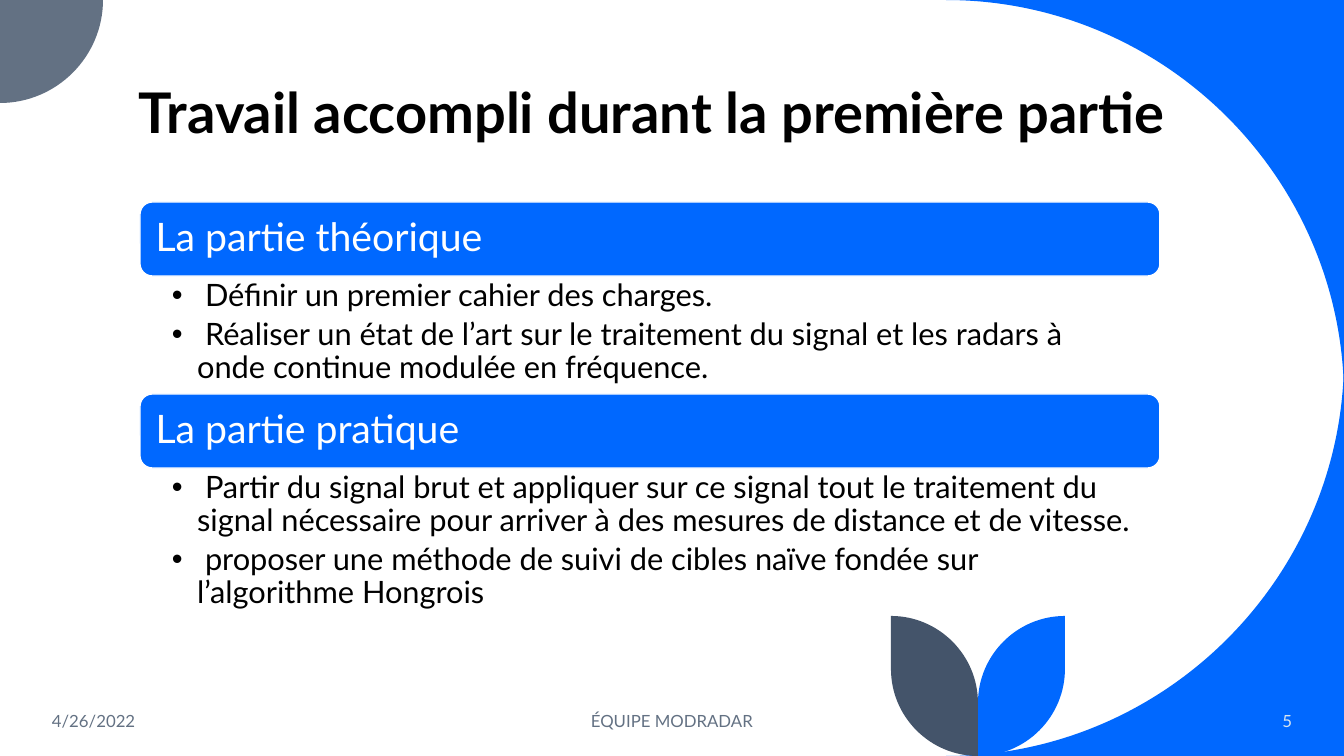
from pptx import Presentation, util as u
from pptx.dml.color import RGBColor
from pptx.enum import shapes, text
from pptx.oxml.ns import qn
from lxml import etree

PX = 914400 / 100.8
W, H = 1344, 756
KAPPA = 0.55
FONT = "Lato"
BLUE = RGBColor(0x00, 0x68, 0xFF)
GREY = RGBColor(0x63, 0x71, 0x83)
SLATE = RGBColor(0x44, 0x54, 0x6A)
PALE = RGBColor(0xDA, 0xE5, 0xEF)
WHITE = RGBColor(0xFF, 0xFF, 0xFF)
BLACK = RGBColor(0, 0, 0)
LEFT, CENTER, RIGHT = text.PP_ALIGN.LEFT, text.PP_ALIGN.CENTER, text.PP_ALIGN.RIGHT

TITLE = "Travail accompli durant la première partie"
PARTS = [
    ("La partie théorique", 118, [
        " Définir un premier cahier des charges.",
        " Réaliser un état de l’art sur le traitement du signal et les radars à onde continue modulée en fréquence.",
    ]),
    ("La partie pratique", 150, [
        " Partir du signal brut et appliquer sur ce signal tout le traitement du signal nécessaire pour arriver à des mesures de distance et de vitesse.",
        " proposer une méthode de suivi de cibles naïve fondée sur l’algorithme Hongrois",
    ]),
]
FOOTER = [
    ("4/26/2022", 42, 302, LEFT, GREY),
    ("ÉQUIPE MODRADAR", 445, 454, CENTER, GREY),
    ("5", 1119, 183, RIGHT, PALE),
]
PART_X, PART_Y, PART_W, HEAD_H = 140, 202, 1020, 74
SWEEP_R, CORNER_R = 398, 103
STEM_X, LEAF_TOP, LEAF_R = 978, 616, 87


def px(n):
    return u.Emu(round(n * PX))


def toward(a, b):
    return tuple(m + KAPPA * (n - m) for m, n in zip(a, b))


def add_outline(s, color, start, *steps):
    points, last = [], start
    for corner, end in steps:
        if corner:
            points += [toward(last, corner), toward(end, corner)]
        points.append(end)
        last = end
    fb = s.shapes.build_freeform(*map(px, start))
    fb.add_line_segments([(px(x), px(y)) for x, y in points], close=True)
    sp = fb.convert_to_shape()
    lines = iter(list(sp._element.iter(qn("a:lnTo"))))
    for corner, end in steps:
        first = next(lines)
        if corner:
            first.tag = qn("a:cubicBezTo")
            for extra in (next(lines), next(lines)):
                first.append(extra[0])
                extra.getparent().remove(extra)
    sp.shadow.inherit = False
    sp.fill.solid()
    sp.fill.fore_color.rgb = color
    sp.line.fill.background()


def add_bullet(p):
    pPr = p._p.get_or_add_pPr()
    pPr.set("marL", str(u.Inches(0.25)))
    pPr.set("indent", str(-u.Inches(0.25)))
    etree.SubElement(pPr, qn("a:buFont")).set("typeface", "Arial")
    etree.SubElement(pPr, qn("a:buChar")).set("char", "•")


def write(sp, lines, size, color, bold=False, align=LEFT, spacing=1.0, after=0,
          bullets=False, anchor=text.MSO_ANCHOR.MIDDLE, insets=(10, 5, 10, 5)):
    tf = sp.text_frame
    tf.word_wrap = True
    tf.vertical_anchor = anchor
    tf.margin_left, tf.margin_top, tf.margin_right, tf.margin_bottom = map(px, insets)
    for i, line in enumerate(lines):
        p = tf.add_paragraph() if i else tf.paragraphs[0]
        p.alignment = align
        p.line_spacing = spacing
        p.space_after = u.Pt(after)
        if bullets:
            add_bullet(p)
        r = p.add_run()
        r.text = line
        r.font.name, r.font.size, r.font.bold = FONT, u.Pt(size), bold
        r.font.color.rgb = color


def add_text(s, box, lines, size, color, **fmt):
    write(s.shapes.add_textbox(*map(px, box)), lines, size, color, **fmt)


def add_header(s, y, label):
    sp = s.shapes.add_shape(shapes.MSO_SHAPE.ROUNDED_RECTANGLE,
                            *map(px, (PART_X, y, PART_W, HEAD_H)))
    sp.shadow.inherit = False
    sp.fill.solid()
    sp.fill.fore_color.rgb = BLUE
    sp.line.color.rgb = WHITE
    sp.line.width = u.Pt(1)
    write(sp, [label], 28, WHITE, spacing=0.9, insets=(12, 12, 12, 12))


def add_decor(s):
    sweep_x = W - SWEEP_R
    for edge, level in ((0, SWEEP_R), (H, H - SWEEP_R)):
        add_outline(s, BLUE, (W, edge), (None, (sweep_x, edge)),
                    ((W, edge), (W, level)))
    add_outline(s, GREY, (0, 0), (None, (CORNER_R, 0)),
                ((CORNER_R, CORNER_R), (0, CORNER_R)))
    for side, color in ((1, BLUE), (-1, SLATE)):
        tip = STEM_X + side * LEAF_R
        add_outline(s, color, (tip, LEAF_TOP), (None, (tip, H - LEAF_R)),
                    ((tip, H), (STEM_X, H)),
                    (None, (STEM_X, LEAF_TOP + LEAF_R)),
                    ((STEM_X, LEAF_TOP), (tip, LEAF_TOP)))


def main():
    prs = Presentation()
    prs.slide_width, prs.slide_height = px(W), px(H)
    s = prs.slides.add_slide(prs.slide_layouts[6])
    add_decor(s)
    add_text(s, (129, 42, 1078, 146), [TITLE], 40, BLACK, bold=True, spacing=0.9)
    for label, x, w, align, color in FOOTER:
        add_text(s, (x, 701, w, 40), [label], 12, color, align=align)
    y = PART_Y
    for label, body_h, items in PARTS:
        add_header(s, y, label)
        add_text(s, (PART_X, y + HEAD_H, PART_W, body_h), items, 22, BLACK,
                 spacing=0.9, after=4, bullets=True,
                 anchor=text.MSO_ANCHOR.TOP, insets=(32, 4, 22, 4))
        y += HEAD_H + body_h
    prs.save("out.pptx")


if __name__ == "__main__":
    main()
